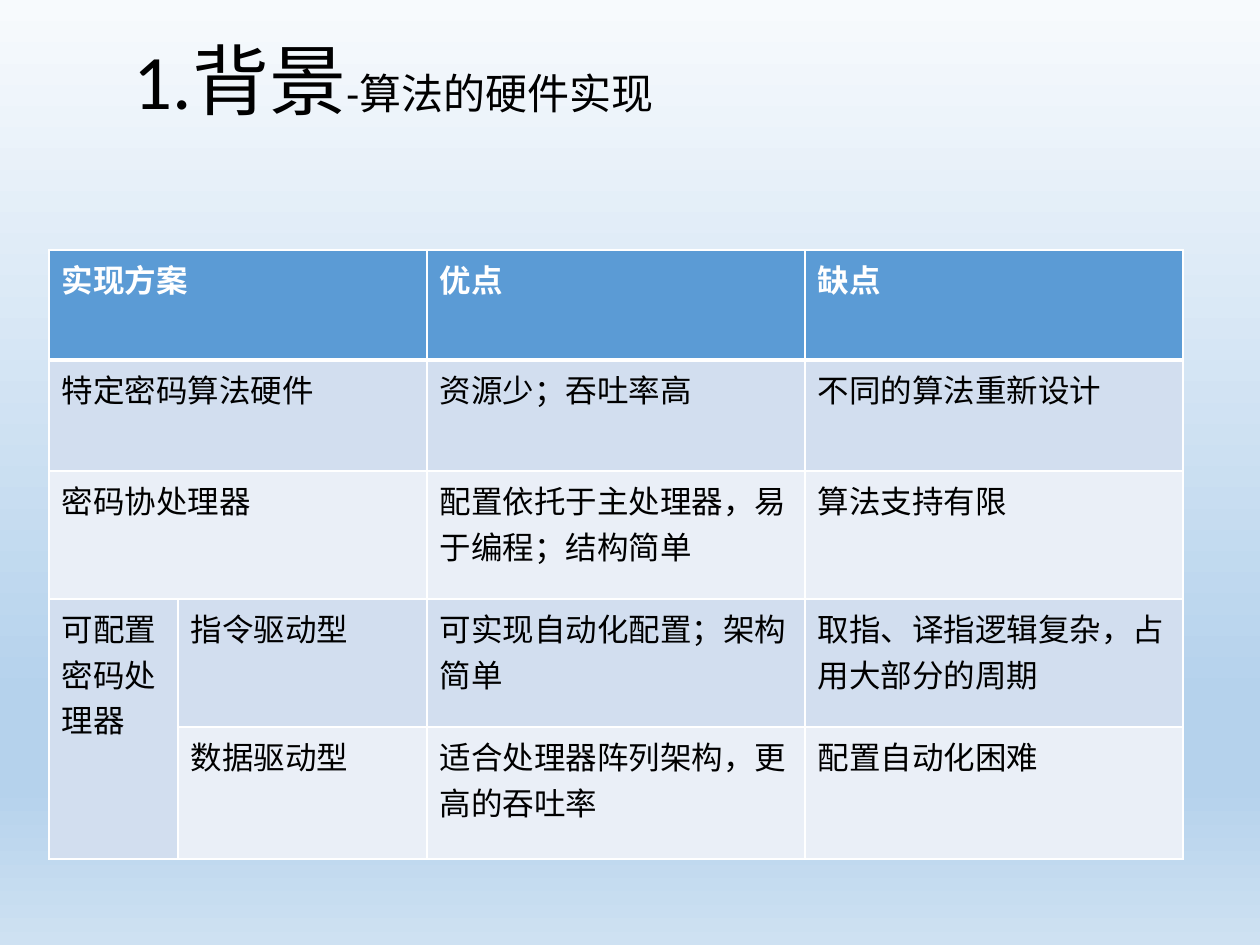
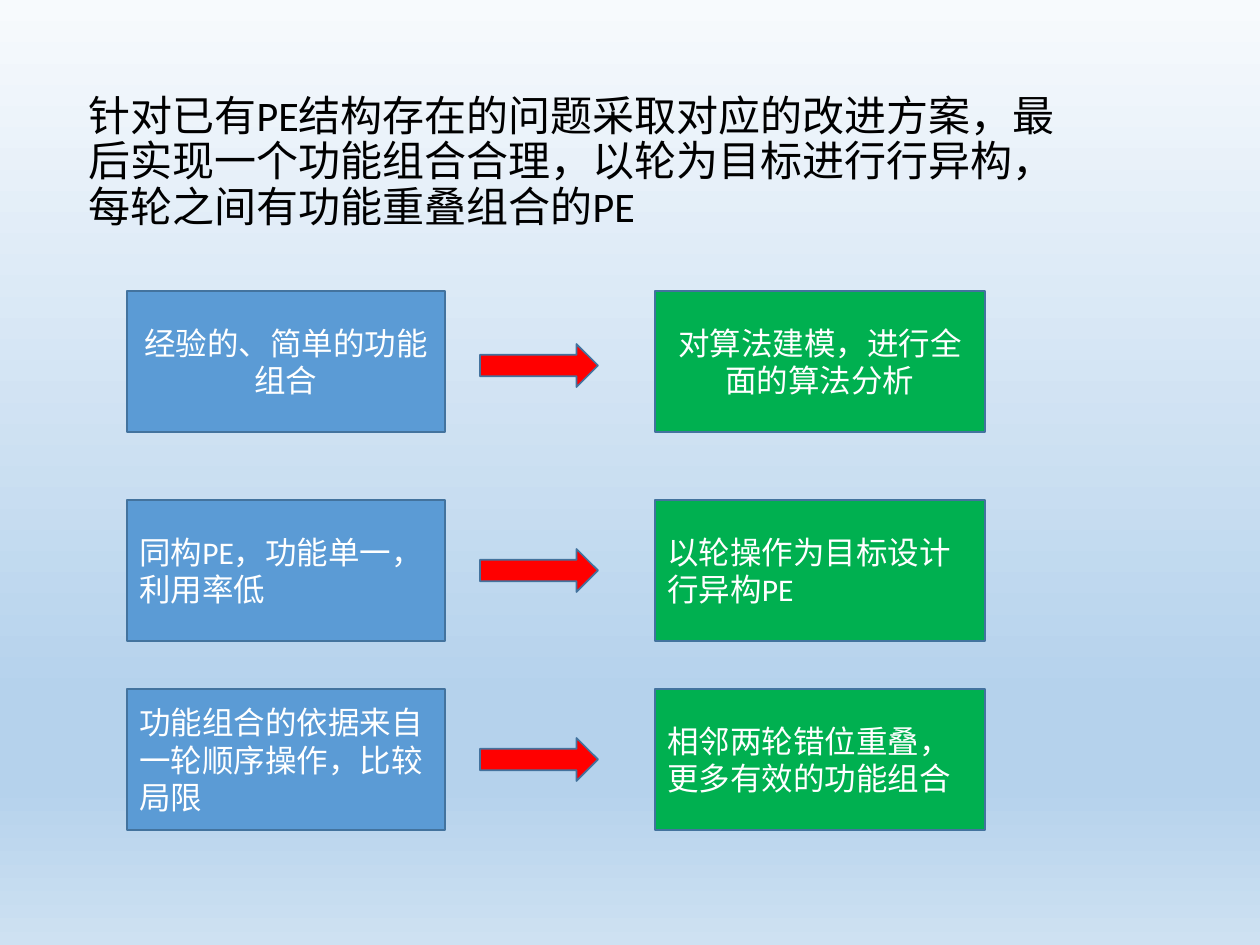
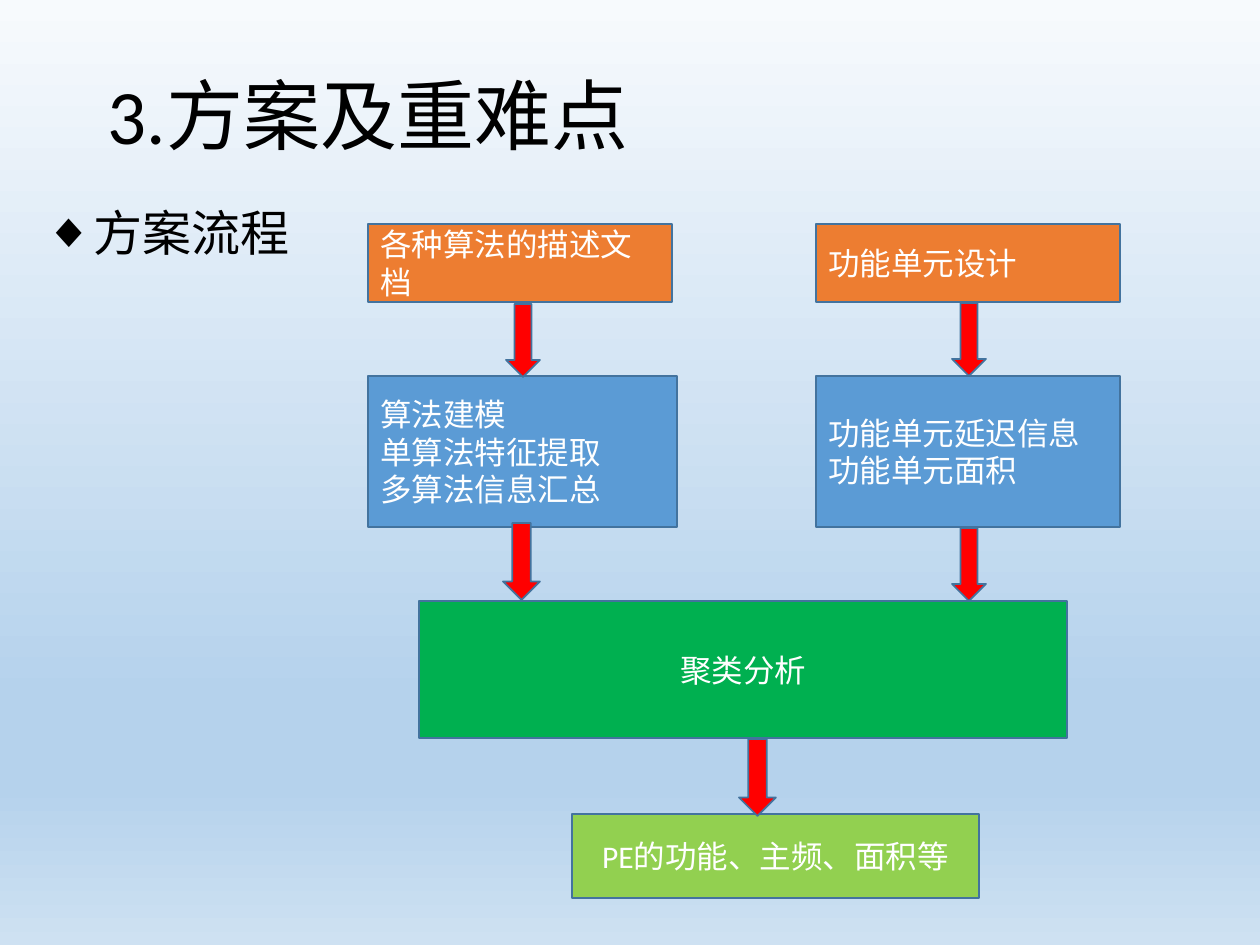
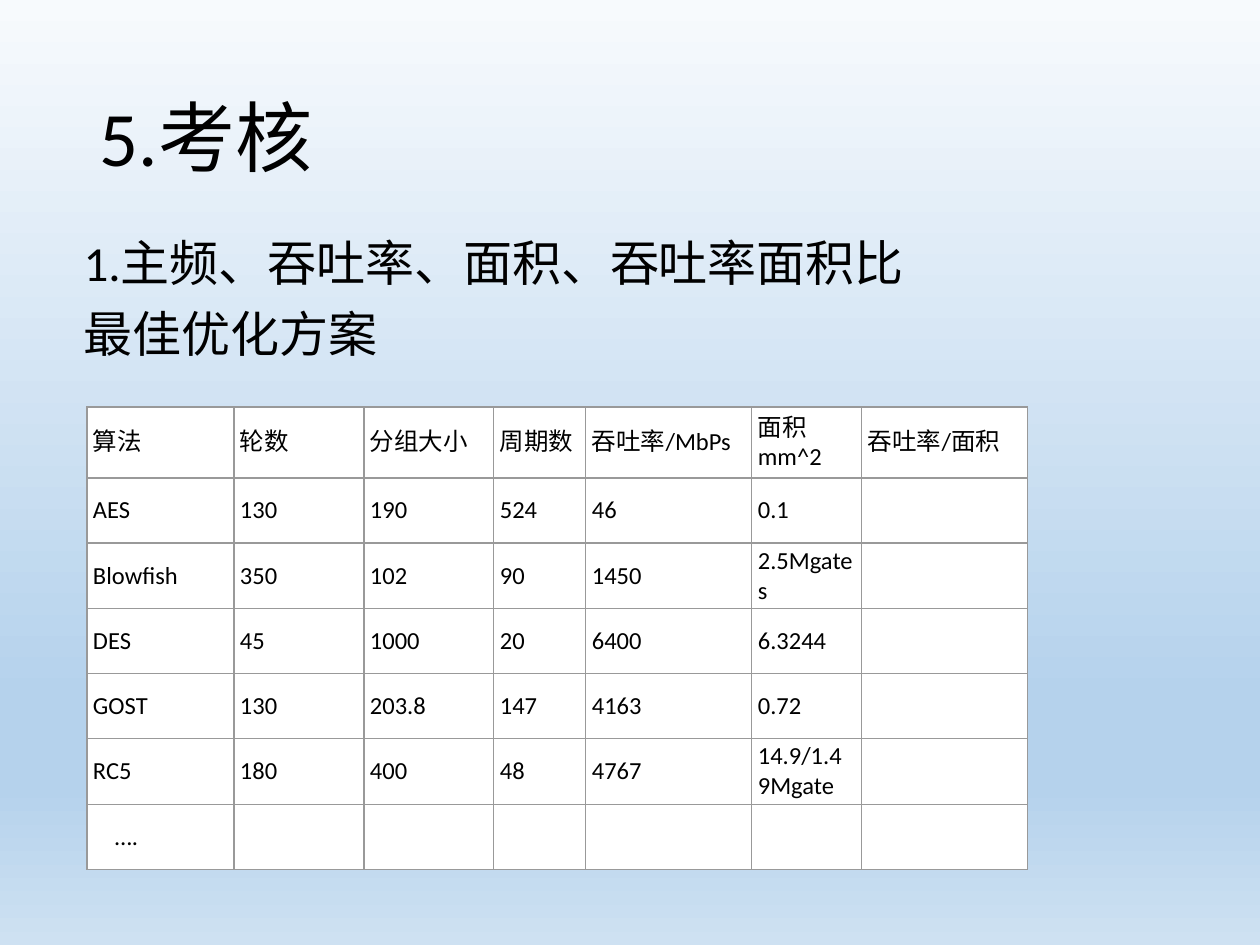
from dataclasses import dataclass

from lxml import etree
from pptx import Presentation
from pptx.dml.color import RGBColor
from pptx.enum.shapes import MSO_SHAPE
from pptx.enum.text import MSO_ANCHOR, MSO_AUTO_SIZE, PP_ALIGN
from pptx.oxml.ns import qn
from pptx.util import Pt

PX = 914400 / 126
RECT, RIGHT, DOWN = MSO_SHAPE.RECTANGLE, MSO_SHAPE.RIGHT_ARROW, MSO_SHAPE.DOWN_ARROW
LEFT, CENTER = PP_ALIGN.LEFT, PP_ALIGN.CENTER
MIDDLE, TOP = MSO_ANCHOR.MIDDLE, MSO_ANCHOR.TOP
TITLE_ONLY, TITLE_AND_BODY = 5, 1


@dataclass(frozen=True)
class Theme:
    font: str = "Calibri"
    ink: str = "000000"
    white: str = "FFFFFF"
    blue: str = "5B9BD5"
    green: str = "00B050"
    lime: str = "92D050"
    orange: str = "ED7D31"
    red: str = "FF0000"
    outline: str = "43739E"
    grid: str = "999999"
    bands: tuple = ("D2DEEF", "EAEFF7")
    backdrop: tuple = ((0, "F7FAFD"), (74, "B5D2EC"), (83, "B5D2EC"), (100, "CEE1F2"))
    title: int = 44
    body: int = 28
    lead: int = 24
    label: int = 18
    small: int = 14


THEME = Theme()

# ---- Content: lengths in px, boxes as (left, top, width, height) ----
BACKGROUND_TITLE = ("1.背景", "-算法的硬件实现")
SCHEMES = [
    ("实现方案", "", "优点", "缺点"),
    ("特定密码算法硬件", "", "资源少；吞吐率高", "不同的算法重新设计"),
    ("密码协处理器", "", "配置依托于主处理器，易于编程；结构简单", "算法支持有限"),
    ("可配置密码处理器", "指令驱动型", "可实现自动化配置；架构简单",
     "取指、译指逻辑复杂，占用大部分的周期"),
    ("", "数据驱动型", "适合处理器阵列架构，更高的吞吐率", "配置自动化困难"),
]
SCHEME_COLS = (129, 249, 378, 378)
SCHEME_ROWS = (110, 111, 128, 128, 132)
SCHEME_MERGES = [((row, 0), (row, 1)) for row in range(3)] + [((3, 0), (4, 0))]

IMPROVEMENT_LEAD = ("针对已有PE结构存在的问题采取对应的改进方案，最后实现一个功能组合合理，"
                    "以轮为目标进行行异构，每轮之间有功能重叠组合的PE")
# box top, arrow top, alignment, problem, remedy
IMPROVEMENTS = [
    (291, 344, CENTER, "经验的、简单的功能组合", "对算法建模，进行全面的算法分析"),
    (500, 549, LEFT, "同构PE，功能单一，利用率低", "以轮操作为目标设计行异构PE"),
    (689, 738, LEFT, "功能组合的依据来自一轮顺序操作，比较局限",
     "相邻两轮错位重叠，更多有效的功能组合"),
]

FLOW_TITLE = "3.方案及重难点"
FLOW_HEADING = "方案流程"
FLOW_STEPS = [
    ((368, 376, 309, 151), THEME.blue, LEFT, ("算法建模", "单算法特征提取", "多算法信息汇总")),
    ((368, 224, 304, 78), THEME.orange, LEFT, ("各种算法的描述文档",)),
    ((816, 224, 304, 78), THEME.orange, LEFT, ("功能单元设计",)),
    ((816, 376, 304, 151), THEME.blue, LEFT, ("功能单元延迟信息", "功能单元面积")),
    ((419, 601, 648, 137), THEME.green, CENTER, ("聚类分析",)),
    ((572, 814, 407, 84), THEME.lime, CENTER, ("PE的功能、主频、面积等",)),
]
SLIM, WIDE = (34, 73), (37, 77)
FLOW_ARROWS = [(506, 304, SLIM), (952, 303, SLIM), (503, 523, WIDE),
               (952, 528, SLIM), (739, 739, WIDE)]

REVIEW_TITLE = "5.考核"
REVIEW_POINTS = ("1.主频、吞吐率、面积、吞吐率面积比", "最佳优化方案")
RESULTS = [
    ("算法", "轮数", "分组大小", "周期数", "吞吐率/MbPs", "面积mm^2", "吞吐率/面积"),
    ("AES", "130", "190", "524", "46", "0.1", ""),
    ("Blowfish", "350", "102", "90", "1450", "2.5Mgates", ""),
    ("DES", "45", "1000", "20", "6400", "6.3244", ""),
    ("GOST", "130", "203.8", "147", "4163", "0.72", ""),
    ("RC5", "180", "400", "48", "4767", "14.9/1.49Mgate", ""),
    ("….", "", "", "", "", "", ""),
]
RESULT_COLS = (147, 130, 130, 92, 166, 110, 166)
RESULT_ROWS = (71,) + (65,) * 6
RESULT_INSETS = (6, 3, 9, 3)
ELLIPSIS_INDENT = 22


# ---- Helpers ----
def px(length):
    return round(length * PX)


def rgb(color):
    return RGBColor.from_string(color)


def style(paragraph, size, color, bold=False, east_asian=True):
    font = paragraph.font
    font.name, font.size, font.bold = THEME.font, Pt(size), bold
    font.color.rgb = rgb(color)
    if east_asian:
        latin = paragraph._p.pPr.find(qn("a:defRPr")).find(qn("a:latin"))
        latin.addnext(latin.makeelement(qn("a:ea"), {"typeface": THEME.font}))


def place(shape, box):
    shape.left, shape.top, shape.width, shape.height = map(px, box)


def set_backdrop(master):
    fill = master.background.fill
    fill.gradient()
    fill.gradient_angle = 270
    stops = master.element.find(".//" + qn("a:gsLst"))
    for stop in list(stops):
        stops.remove(stop)
    for percent, color in THEME.backdrop:
        stop = etree.SubElement(stops, qn("a:gs"), pos=str(percent * 1000))
        etree.SubElement(stop, qn("a:srgbClr"), val=color)


def set_title(slide, box, head, tail=""):
    title = slide.shapes.title
    place(title, box)
    frame = title.text_frame
    frame.auto_size, frame.vertical_anchor = MSO_AUTO_SIZE.NONE, MIDDLE
    paragraph = frame.paragraphs[0]
    paragraph.alignment, paragraph.line_spacing = LEFT, 0.9
    paragraph.add_run().text = head
    if tail:
        run = paragraph.add_run()
        run.text, run.font.size = tail, Pt(THEME.lead)
    style(paragraph, THEME.title, THEME.ink)


def set_body(slide, box, lines, size, bullet=None):
    body = slide.placeholders[1]
    place(body, box)
    frame = body.text_frame
    frame.auto_size, frame.vertical_anchor = MSO_AUTO_SIZE.NONE, TOP
    frame.text = "\n".join(lines)
    hang = px(32) if bullet else 0
    for paragraph in frame.paragraphs:
        paragraph.line_spacing, paragraph.space_before = 0.9, Pt(10)
        props = paragraph._p.get_or_add_pPr()
        props.set("marL", str(hang))
        props.set("indent", str(-hang))
        if bullet:
            etree.SubElement(props, qn("a:buChar"), char=bullet)
        else:
            etree.SubElement(props, qn("a:buNone"))
        style(paragraph, size, THEME.ink)


def add_block(slide, kind, box, color, lines=(), align=CENTER):
    block = slide.shapes.add_shape(kind, *map(px, box))
    block.shadow.inherit = False
    block.fill.solid()
    block.fill.fore_color.rgb = rgb(color)
    block.line.color.rgb = rgb(THEME.outline)
    block.line.width = Pt(1)
    if lines:
        block.text_frame.text = "\n".join(lines)
        for paragraph in block.text_frame.paragraphs:
            paragraph.alignment = align
            style(paragraph, THEME.label, THEME.white)


def add_grid(slide, corner, cols, rows, texts):
    size = (sum(cols), sum(rows))
    grid = slide.shapes.add_table(len(rows), len(cols), *map(px, corner + size)).table
    for column, width in zip(grid.columns, cols):
        column.width = px(width)
    for row, height, row_texts in zip(grid.rows, rows, texts):
        row.height = px(height)
        for cell, text in zip(row.cells, row_texts):
            cell.text = text
    return grid


def paint_cell(cell, fill, border, top=1.0, bottom=1.0, side=1.0):
    props = cell._tc.get_or_add_tcPr()
    for edge, width in (("L", side), ("R", side), ("T", top), ("B", bottom)):
        line = etree.SubElement(props, qn("a:ln" + edge), w=str(Pt(width)))
        solid = etree.SubElement(line, qn("a:solidFill"))
        etree.SubElement(solid, qn("a:srgbClr"), val=border)
    cell.fill.solid()
    cell.fill.fore_color.rgb = rgb(fill)


# ---- Slides ----
def build_background(slide):
    set_title(slide, (121, 19, 1086, 132), *BACKGROUND_TITLE)
    grid = add_grid(slide, (49, 250), SCHEME_COLS, SCHEME_ROWS, SCHEMES)
    for index, row in enumerate(grid.rows):
        header = index == 0
        fill = THEME.blue if header else THEME.bands[(index - 1) % 2]
        for cell in row.cells:
            paint_cell(cell, fill, THEME.white,
                       top=3 if index == 1 else 1, bottom=3 if header else 1)
            style(cell.text_frame.paragraphs[0], THEME.label,
                  THEME.white if header else THEME.ink, header, east_asian=False)
    for start, end in SCHEME_MERGES:
        grid.cell(*start).merge(grid.cell(*end))


def build_improvements(slide):
    title = slide.shapes.title.element
    title.getparent().remove(title)
    set_body(slide, (76, 89, 1027, 173), [IMPROVEMENT_LEAD], THEME.lead)
    for top, arrow_top, align, problem, remedy in IMPROVEMENTS:
        add_block(slide, RECT, (127, top, 318, 141), THEME.blue, [problem], align)
        add_block(slide, RECT, (655, top, 330, 141), THEME.green, [remedy], align)
        add_block(slide, RIGHT, (480, arrow_top, 118, 43), THEME.red)


def build_flow(slide):
    set_title(slide, (95, 28, 1086, 183), FLOW_TITLE)
    set_body(slide, (32, 203, 360, 173), [FLOW_HEADING], THEME.body, "◆")
    for box, color, align, lines in FLOW_STEPS:
        add_block(slide, RECT, box, color, lines, align)
    for left, top, size in FLOW_ARROWS:
        add_block(slide, DOWN, (left, top) + size, THEME.red)


def build_review(slide):
    set_title(slide, (87, 50, 1086, 183), REVIEW_TITLE)
    set_body(slide, (71, 233, 1086, 600), REVIEW_POINTS, THEME.body)
    grid = add_grid(slide, (87, 407), RESULT_COLS, RESULT_ROWS, RESULTS)
    for cell in grid.iter_cells():
        paint_cell(cell, THEME.white, THEME.grid, 0.75, 0.75, 0.75)
        cell.vertical_anchor = MIDDLE
        (cell.margin_left, cell.margin_top,
         cell.margin_right, cell.margin_bottom) = map(px, RESULT_INSETS)
        style(cell.text_frame.paragraphs[0], THEME.small, THEME.ink)
    ellipsis = grid.cell(len(RESULTS) - 1, 0).text_frame.paragraphs[0]
    ellipsis._p.pPr.set("marL", str(px(ELLIPSIS_INDENT)))


def main():
    prs = Presentation()
    prs.slide_width, prs.slide_height = px(1260), px(945)
    set_backdrop(prs.slide_master)
    for layout, build in ((TITLE_ONLY, build_background),
                          (TITLE_AND_BODY, build_improvements),
                          (TITLE_AND_BODY, build_flow),
                          (TITLE_AND_BODY, build_review)):
        build(prs.slides.add_slide(prs.slide_layouts[layout]))
    prs.save("out.pptx")


if __name__ == "__main__":
    main()
